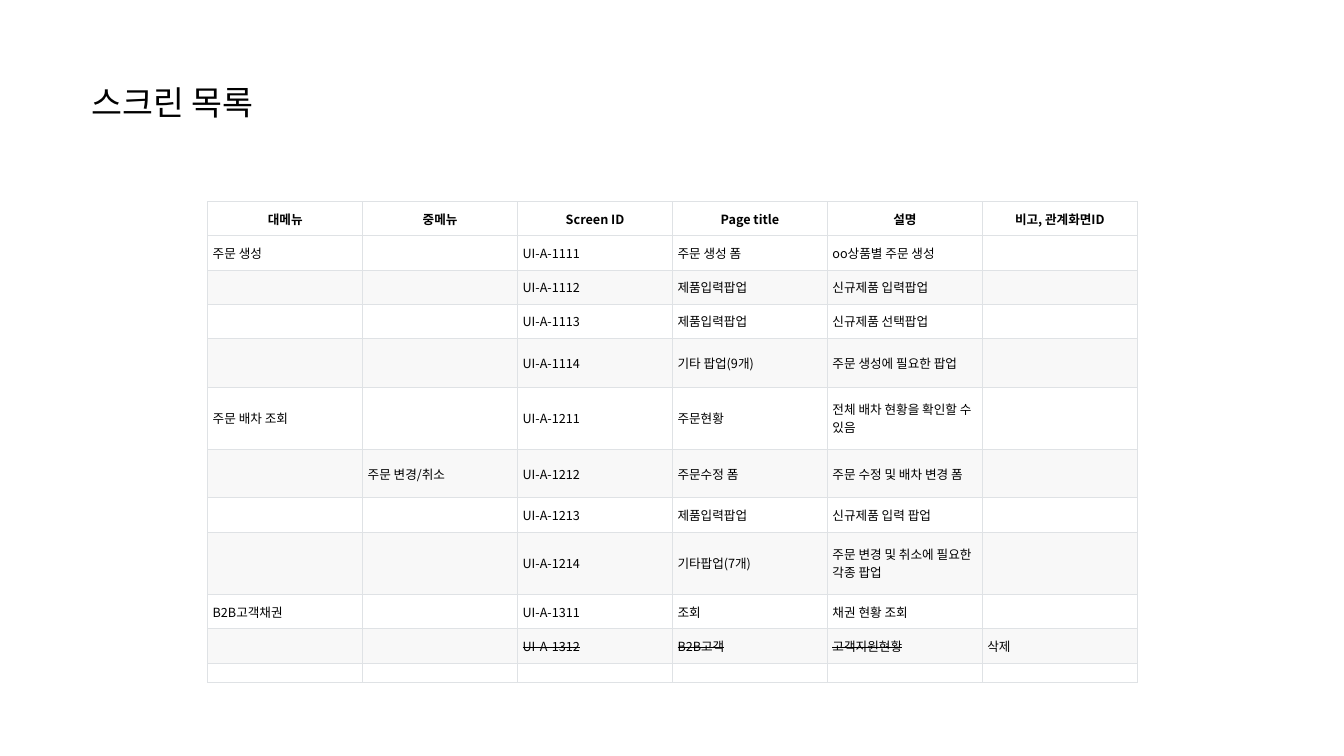
from lxml import etree
from pptx import Presentation, util as u
from pptx.dml.color import RGBColor
from pptx.enum import text
from pptx.oxml.ns import qn

FONT = "Noto Sans CJK KR"
WIDTH, HEIGHT = 13.33, 7.5
HEADINGS = ("대메뉴", "중메뉴", "Screen ID", "Page title", "설명", "비고, 관계화면ID")
SCREENS = [
    ("주문 생성", "", "UI-A-1111", "주문 생성 폼", "oo상품별 주문 생성", ""),
    ("", "", "UI-A-1112", "제품입력팝업", "신규제품 입력팝업", ""),
    ("", "", "UI-A-1113", "제품입력팝업", "신규제품 선택팝업", ""),
    ("", "", "UI-A-1114", "기타 팝업(9개)", "주문 생성에 필요한 팝업", ""),
    ("주문 배차 조회", "", "UI-A-1211", "주문현황", "전체 배차 현황을 확인할 수 있음", ""),
    ("", "주문 변경/취소", "UI-A-1212", "주문수정 폼", "주문 수정 및 배차 변경 폼", ""),
    ("", "", "UI-A-1213", "제품입력팝업", "신규제품 입력 팝업", ""),
    ("", "", "UI-A-1214", "기타팝업(7개)", "주문 변경 및 취소에 필요한 각종 팝업", ""),
    ("B2B고객채권", "", "UI-A-1311", "조회", "채권 현황 조회", ""),
    ("", "", "UI-A-1312", "B2B고객", "고객지원현황", "삭제"),
    ("",) * len(HEADINGS),
]
ROW, TALL, DOUBLE, LAST = 0.34, 0.48, 0.62, 0.19
ROW_HEIGHTS = [ROW] * 4 + [TALL, DOUBLE, TALL, ROW, DOUBLE, ROW, ROW, LAST]
REMOVED = "삭제"


def colour(hex_code):
    """Turn a hex string into a colour."""
    return RGBColor.from_string(hex_code)


def add_run(paragraph, words, size, bold=False, strike=False):
    """Append one styled run of text."""
    run = paragraph.add_run()
    run.text = words
    run.font.size, run.font.bold, run.font.name = u.Pt(size), bold, FONT
    run.font.color.rgb = colour("000000")
    properties = run.font._element
    if strike:
        properties.set("strike", "sngStrike")
    east_asian = etree.Element(qn("a:ea"), typeface=FONT)
    properties.find(qn("a:latin")).addnext(east_asian)


def style_cell(cell, fill):
    """Set the margins, anchor, border and fill of a cell."""
    cell.margin_left = cell.margin_right = u.Inches(0.05)
    cell.margin_top = cell.margin_bottom = u.Inches(0.02)
    cell.vertical_anchor = text.MSO_ANCHOR.MIDDLE
    properties = cell._tc.get_or_add_tcPr()
    for side in ("lnL", "lnR", "lnT", "lnB"):
        border = etree.SubElement(properties, qn(f"a:{side}"), w=str(u.Pt(0.6)))
        solid = etree.SubElement(border, qn("a:solidFill"))
        etree.SubElement(solid, qn("a:srgbClr"), val="DFE2E5")
    cell.fill.solid()
    cell.fill.fore_color.rgb = colour(fill)


def screen_table(slide, left, top, width):
    """Draw the screen list with a heading row and shaded alternate rows."""
    rows = [HEADINGS] + SCREENS
    frame = slide.shapes.add_table(len(rows), len(HEADINGS), u.Inches(left), u.Inches(top),
                                   u.Inches(width), u.Inches(sum(ROW_HEIGHTS)))
    table = frame.table
    table.first_row = table.horz_banding = False
    for column in table.columns:
        column.width = u.Inches(width / len(HEADINGS))
    for r, (entries, height) in enumerate(zip(rows, ROW_HEIGHTS)):
        table.rows[r].height = u.Inches(height)
        heading, removed = r == 0, entries[-1] == REMOVED
        fill = "F8F8F8" if r and r % 2 == 0 else "FFFFFF"
        for c, entry in enumerate(entries):
            cell = table.cell(r, c)
            style_cell(cell, fill)
            paragraph = cell.text_frame.paragraphs[0]
            if heading:
                paragraph.alignment = text.PP_ALIGN.CENTER
            if entry:
                add_run(paragraph, entry, 9, heading, removed and entry != REMOVED)
            else:
                etree.SubElement(paragraph._p, qn("a:endParaRPr"), sz="900")


def page_title(slide, left, top, width, height):
    """Place the page title in its box."""
    box = slide.shapes.add_textbox(*map(u.Inches, (left, top, width, height)))
    frame = box.text_frame
    frame.word_wrap = True
    frame.auto_size = text.MSO_AUTO_SIZE.SHAPE_TO_FIT_TEXT
    frame.vertical_anchor = text.MSO_ANCHOR.MIDDLE
    add_run(frame.paragraphs[0], "스크린 목록", 24)


deck = Presentation()
deck.slide_width, deck.slide_height = u.Inches(WIDTH), u.Inches(HEIGHT)
screen_list = deck.slides.add_slide(deck.slide_layouts[6])
screen_table(screen_list, 2.06, 2, 9.22)
page_title(screen_list, 0.81, 0.76, 7.25, 0.5)
deck.save("out.pptx")
